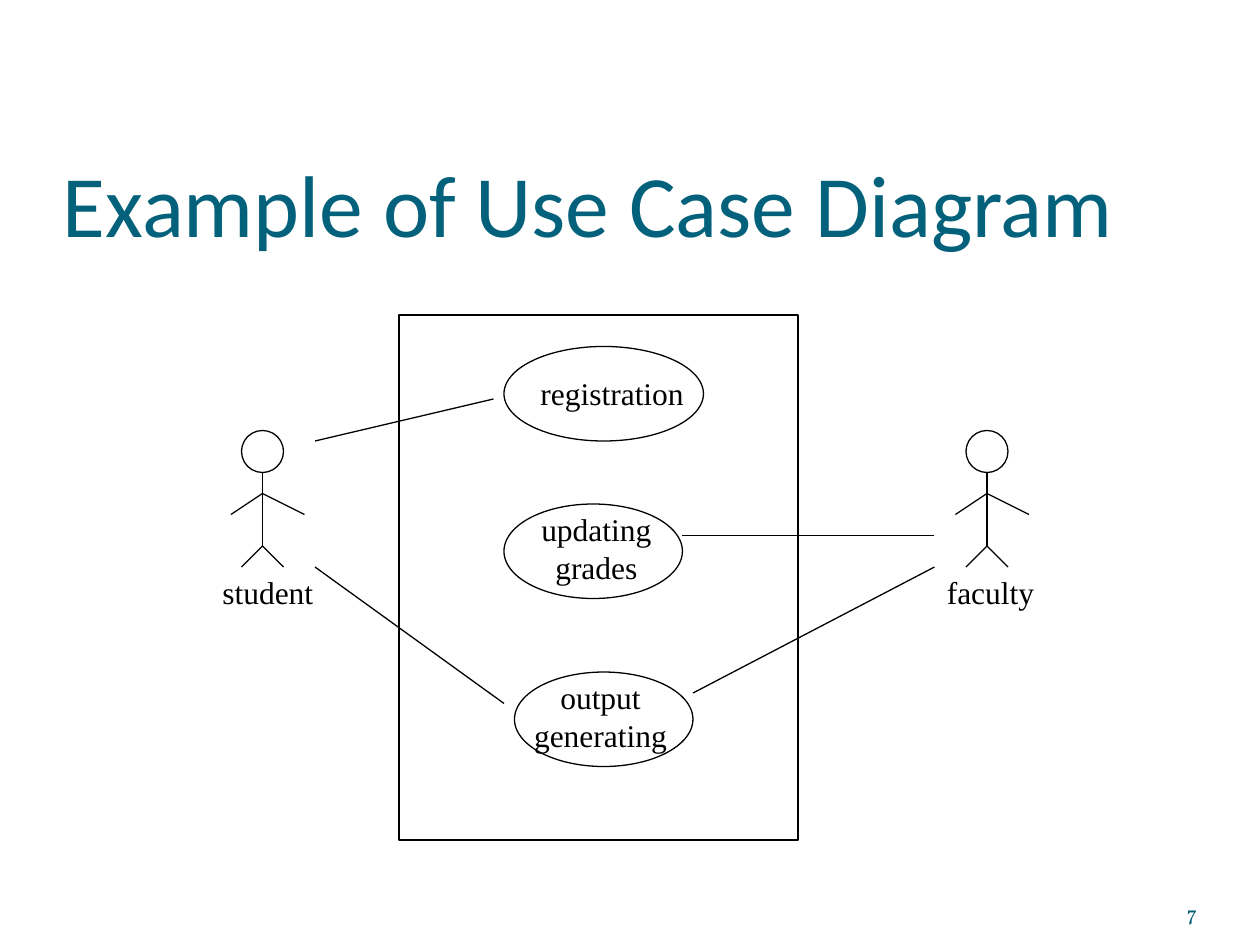
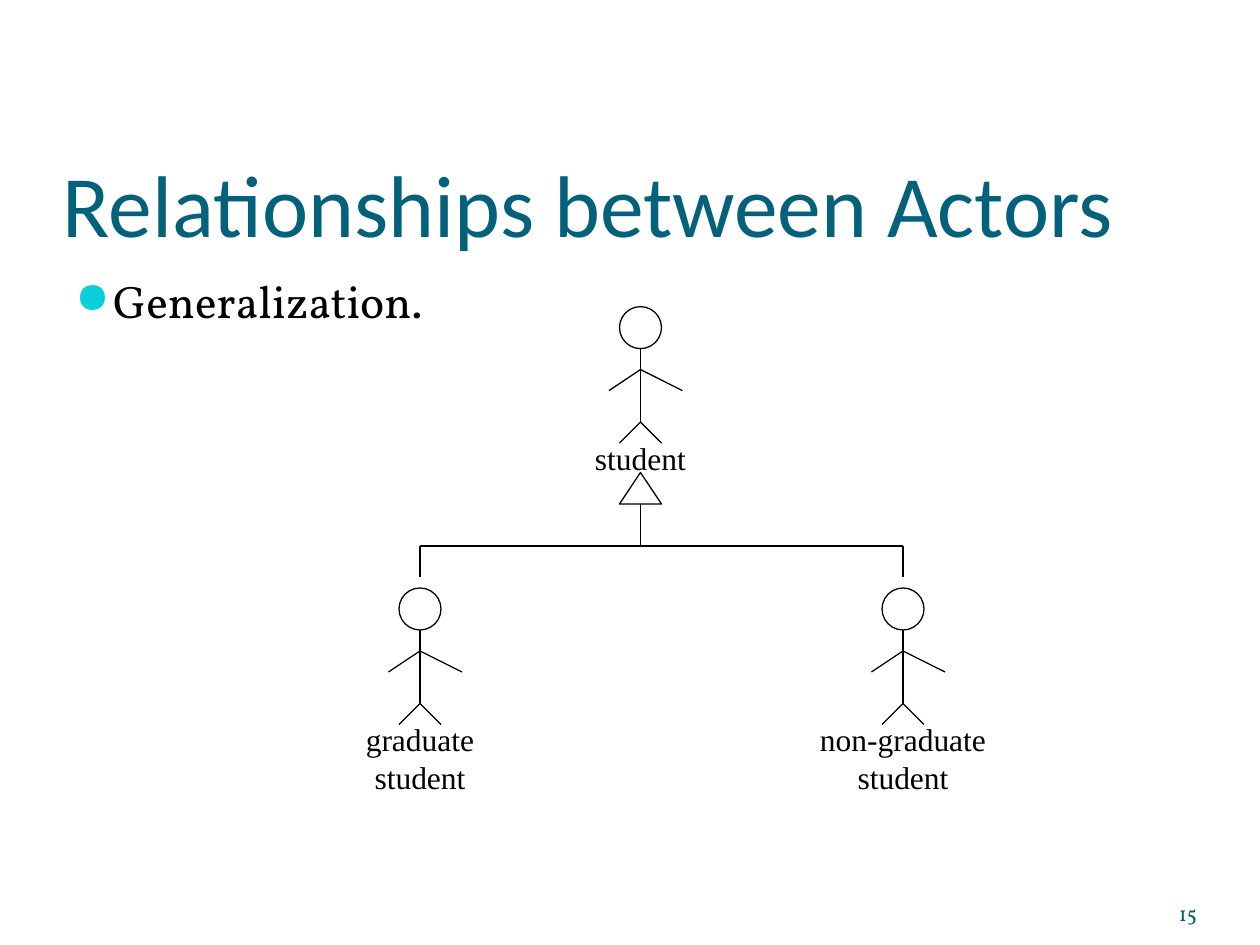
import pptx
import pptx.dml.color
import pptx.enum.shapes
import pptx.enum.text
import pptx.oxml
import pptx.oxml.ns
import pptx.util
import lxml.etree

# Shared grid: twelve cells to the inch
COLUMNS, ROWS = 120, 90
WIDTH, HEIGHT = pptx.util.Inches(10), pptx.util.Inches(7.5)

# Shared look
BLACK, TITLE_BLUE, NUMBER_BLUE, BULLET_CYAN = "000000", "04617B", "045D75", "0BD0D9"
TITLE_FONT, BODY_FONT, DIAGRAM_FONT = "Calibri", "Vollkorn", "Times New Roman"
LINE_WIDTH = pptx.util.Pt(0.75)
NO_MARGINS = dict(margin_left=0, margin_right=0, margin_top=0, margin_bottom=0)
BOTTOM = pptx.enum.text.MSO_ANCHOR.BOTTOM
ALIGN = pptx.enum.text.PP_ALIGN
SHAPE = pptx.enum.shapes.MSO_SHAPE

# Stick figure, measured from the top centre of the head
HEAD_SIZE = 4
LIMBS = [
    (0, 4, 0, 11),   # body
    (0, 6, 4, 8),    # right arm
    (0, 6, -3, 8),   # left arm
    (0, 11, 2, 13),  # right leg
    (0, 11, -2, 13),  # left leg
]


def color(hex_value):
    return pptx.dml.color.RGBColor.from_string(hex_value)


def on_grid(column, row):
    return round(WIDTH * column / COLUMNS), round(HEIGHT * row / ROWS)


def apply_format(target, values):
    for name, value in values.items():
        setattr(target, name, value)


def style_line(shape):
    shape.line.color.rgb = color(BLACK)
    shape.line.width = LINE_WIDTH


def add_text(shapes, text, box, font_name, size, font_color=BLACK,
             alignment=ALIGN.LEFT, frame_format=None):
    """Box is left, top, width, height in grid cells."""
    shape = shapes.add_textbox(*on_grid(*box[:2]), *on_grid(*box[2:]))
    frame = shape.text_frame
    apply_format(frame, {"word_wrap": True, **(frame_format or {})})
    frame.text = text
    for paragraph in frame.paragraphs:
        paragraph.alignment = alignment
        apply_format(paragraph.font, {"name": font_name, "size": pptx.util.Pt(size)})
        for run in paragraph.runs:
            apply_format(run.font, {"name": font_name, "size": pptx.util.Pt(size)})
            run.font.color.rgb = color(font_color)
    return shape


def add_label(shapes, text, box, alignment=ALIGN.CENTER):
    add_text(shapes, text, box, DIAGRAM_FONT, 18, alignment=alignment)


def add_outline(shapes, kind, box):
    shape = shapes.add_shape(kind, *on_grid(*box[:2]), *on_grid(*box[2:]))
    shape.shadow.inherit = False
    shape.fill.background()
    style_line(shape)


def add_line(shapes, start_column, start_row, end_column, end_row):
    connector = shapes.add_connector(
        pptx.enum.shapes.MSO_CONNECTOR.STRAIGHT,
        *on_grid(start_column, start_row), *on_grid(end_column, end_row))
    style_line(connector)
    properties = connector._element.spPr
    lxml.etree.SubElement(properties, pptx.oxml.ns.qn("a:effectLst"))


def add_actor(slide, center, top, label, label_box, alignment=ALIGN.CENTER):
    shapes = slide.shapes.add_group_shape().shapes
    add_outline(shapes, SHAPE.OVAL,
                (center - HEAD_SIZE / 2, top, HEAD_SIZE, HEAD_SIZE))
    for start_x, start_y, end_x, end_y in LIMBS:
        add_line(shapes, center + start_x, top + start_y, center + end_x, top + end_y)
    add_label(shapes, label, label_box, alignment)


def add_use_case(slide, label, oval_box, label_box):
    shapes = slide.shapes.add_group_shape().shapes
    add_outline(shapes, SHAPE.OVAL, oval_box)
    add_label(shapes, label, label_box)


def add_bullet(slide, text, box):
    shape = add_text(slide.shapes, text, box, BODY_FONT, 26)
    paragraph = shape.text_frame.paragraphs[0]
    paragraph.space_before = pptx.util.Pt(5.2)
    properties = paragraph._p.get_or_add_pPr()
    indent = pptx.util.Inches(0.3)
    properties.set("marL", str(indent))
    properties.set("indent", str(-indent))
    for tag, content in [
        ("buClr", f'<a:srgbClr val="{BULLET_CYAN}"/>'),
        ("buSzPct", ""),
        ("buChar", ""),
    ]:
        attribute = {"buSzPct": 'val="95000"', "buChar": 'char="●"'}.get(tag, "")
        properties.append(pptx.oxml.parse_xml(
            f'<a:{tag} {pptx.oxml.ns.nsdecls("a")} {attribute}>{content}</a:{tag}>'))


def add_titled_slide(presentation, title, number):
    slide = presentation.slides.add_slide(presentation.slide_layouts[6])
    add_text(slide.shapes, title, (6, 9.25, 108, 15), TITLE_FONT, 50, TITLE_BLUE,
             frame_format={**NO_MARGINS, "margin_top": pptx.util.Inches(0.05),
                           "vertical_anchor": BOTTOM})
    add_text(slide.shapes, number, (104, 83.4, 10, 4.8), BODY_FONT, 12, NUMBER_BLUE,
             ALIGN.RIGHT, {**NO_MARGINS, "vertical_anchor": BOTTOM})
    return slide


def build_use_case_slide(presentation):
    slide = add_titled_slide(presentation, "Example of Use Case Diagram", "7")

    # Actors
    add_actor(slide, 25, 41, "student", (20, 54, 13, 4.8), ALIGN.LEFT)
    add_actor(slide, 94, 41, "faculty", (89, 54, 12, 4.8), ALIGN.LEFT)

    # Use cases
    for label, oval_box, label_box in [
        ("registration", (48, 33, 19, 9), (49.6, 35, 17.4, 4.8)),
        ("updating\ngrades", (48, 48, 17, 9), (49, 48, 15.6, 8.4)),
        ("output\ngenerating", (49, 64, 17, 9), (49.4, 64, 15.6, 8.4)),
    ]:
        add_use_case(slide, label, oval_box, label_box)

    # Associations
    for ends in [(30, 42, 47, 38), (30, 54, 48, 67), (89, 51, 65, 51), (89, 54, 66, 66)]:
        add_line(slide.shapes, *ends)

    # System boundary
    add_outline(slide.shapes, SHAPE.RECTANGLE, (38, 30, 38, 50))


def build_generalization_slide(presentation):
    slide = add_titled_slide(presentation, "Relationships between Actors", "15")
    add_bullet(slide, "Generalization.", (6, 25.4, 108, 57.6))

    # Parent and child actors
    parent, children, junction_row = 61, (40, 86), 52
    for center, top, label, width, height in [
        (parent, 29.2, "student", 12, 4.8),
        (children[1], 56, "non-graduate\nstudent", 20, 8.4),
        (children[0], 56, "graduate\nstudent", 16, 8.4),
    ]:
        add_actor(slide, center, top, label,
                  (center - width / 2, top + 12, width, height))

    # Generalization tree
    for child in children:
        add_line(slide.shapes, child, 55, child, junction_row)
    add_line(slide.shapes, children[0], junction_row, children[1], junction_row)
    add_outline(slide.shapes, SHAPE.ISOSCELES_TRIANGLE, (parent - 2, 45, 4, 3))
    add_line(slide.shapes, parent, 48, parent, junction_row)


def main():
    presentation = pptx.Presentation()
    apply_format(presentation, {"slide_width": WIDTH, "slide_height": HEIGHT})
    build_use_case_slide(presentation)
    build_generalization_slide(presentation)
    presentation.save("out.pptx")


if __name__ == "__main__":
    main()
